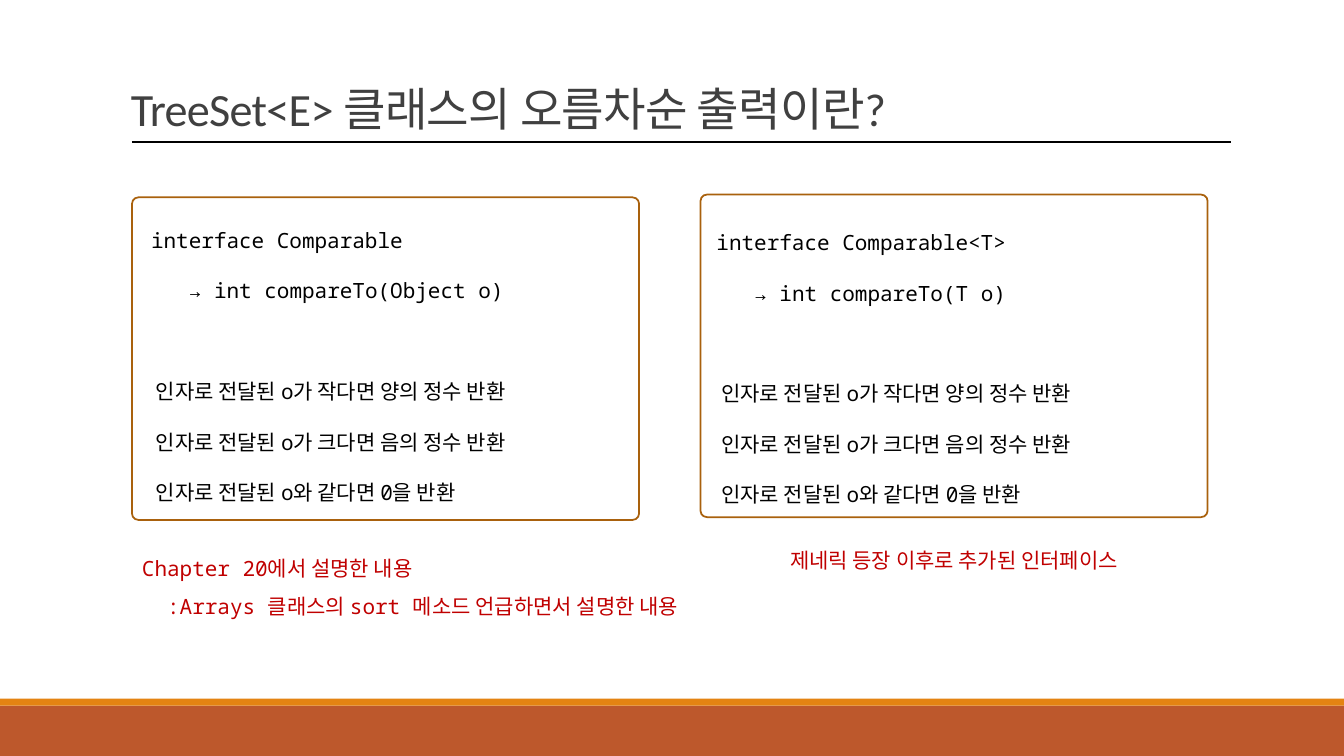
from pptx import Presentation
from pptx import util as u
from pptx.dml.color import RGBColor
from pptx.enum import shapes, text
from pptx.oxml.ns import qn
from lxml import etree

Pt = u.Pt
THEME = {
    "rust": RGBColor(0xBD, 0x58, 0x2C),
    "orange": RGBColor(0xE4, 0x83, 0x12),
    "frame": RGBColor(0xA9, 0x61, 0x0D),
    "title": RGBColor(0x40, 0x40, 0x40),
    "ink": RGBColor(0, 0, 0),
    "note": RGBColor(0xC0, 0, 0),
    "title_font": "Calibri",
    "body_font": "Noto Sans Mono",
    "title_size": Pt(33),
    "body_size": Pt(15),
}

prs = Presentation()
prs.slide_width, prs.slide_height = Pt(960), Pt(540)
s = prs.slides.add_slide(prs.slide_layouts[6])


def add_shape(kind, box, fill=None):
    sp = s.shapes.add_shape(kind, *map(Pt, box))
    sp.shadow.inherit = False
    if fill is None:
        sp.fill.background()
        sp.line.color.rgb = THEME["frame"]
        sp.line.width = Pt(1.25)
    else:
        sp.fill.solid()
        sp.fill.fore_color.rgb = fill
        sp.line.fill.background()
    return sp


def add_text(box, lines, spacing, color, role="body", align=text.PP_ALIGN.LEFT):
    tf = s.shapes.add_textbox(*map(Pt, box)).text_frame
    tf.word_wrap = True
    for i, (line, indent, before) in enumerate(lines):
        p = tf.paragraphs[0] if i == 0 else tf.add_paragraph()
        p.alignment = align
        p.line_spacing = spacing
        p.space_before = Pt(before)
        if indent:
            pPr = p._p.get_or_add_pPr()
            pPr.set("marL", str(Pt(indent)))
            pPr.set("indent", "0")
        r = p.add_run()
        r.text = line
        r.font.name = THEME[role + "_font"]
        r.font.size = THEME[role + "_size"]
        r.font.color.rgb = THEME[color]
    return tf


add_shape(shapes.MSO_SHAPE.RECTANGLE, (0, 504, 960, 36), THEME["rust"])
add_shape(shapes.MSO_SHAPE.RECTANGLE, (0, 499, 960, 5), THEME["orange"])

tf = add_text((86.4, 10, 792, 90.8), [("TreeSet<E> 클래스의 오름차순 출력이란?", 0, 0)],
              0.85, "title", "title")
tf.vertical_anchor = text.MSO_ANCHOR.BOTTOM
tf.paragraphs[0].runs[0].font._element.set("spc", "-50")

rule = s.shapes.add_connector(shapes.MSO_CONNECTOR.STRAIGHT, Pt(94.3), Pt(101.5), Pt(879), Pt(101.5))
rule.line.color.rgb = THEME["ink"]
rule.line.width = Pt(1)
etree.SubElement(rule._element.spPr, qn("a:effectLst"))

cards = [
    ((94.3, 141), (100.8, 141, 347, 225.4), "Comparable", "Object"),
    ((500.4, 139), (504.7, 142.5, 379.4, 225.4), "Comparable<T>", "T"),
]
for corner, body, interface, argument in cards:
    lines = [
        (f"interface {interface}", 0, 0),
        (f"→ int compareTo({argument} o)", 27, 0),
        (" 인자로 전달된 o가 작다면 양의 정수 반환", 0, 36),
        (" 인자로 전달된 o가 크다면 음의 정수 반환", 0, 0),
        (" 인자로 전달된 o와 같다면 0을 반환", 0, 0),
    ]
    add_text(body, lines, 2, "ink").auto_size = text.MSO_AUTO_SIZE.SHAPE_TO_FIT_TEXT
    frame = add_shape(shapes.MSO_SHAPE.ROUNDED_RECTANGLE, (*corner, 362.2, 230.4))
    frame.adjustments[0] = 0.02

notes = [
    ((94.3, 384.5, 447.8, 62), text.PP_ALIGN.LEFT, [
        ("Chapter 20에서 설명한 내용", 0, 0),
        (":Arrays 클래스의 sort 메소드 언급하면서 설명한 내용", 18, 0),
    ]),
    ((518.4, 378.7, 326.2, 31.7), text.PP_ALIGN.CENTER, [
        ("제네릭 등장 이후로 추가된 인터페이스", 0, 0),
    ]),
]
for box, align, lines in notes:
    tf = add_text(box, lines, 1.5, "note", align=align)
    tf.auto_size = text.MSO_AUTO_SIZE.SHAPE_TO_FIT_TEXT

prs.save("out.pptx")
